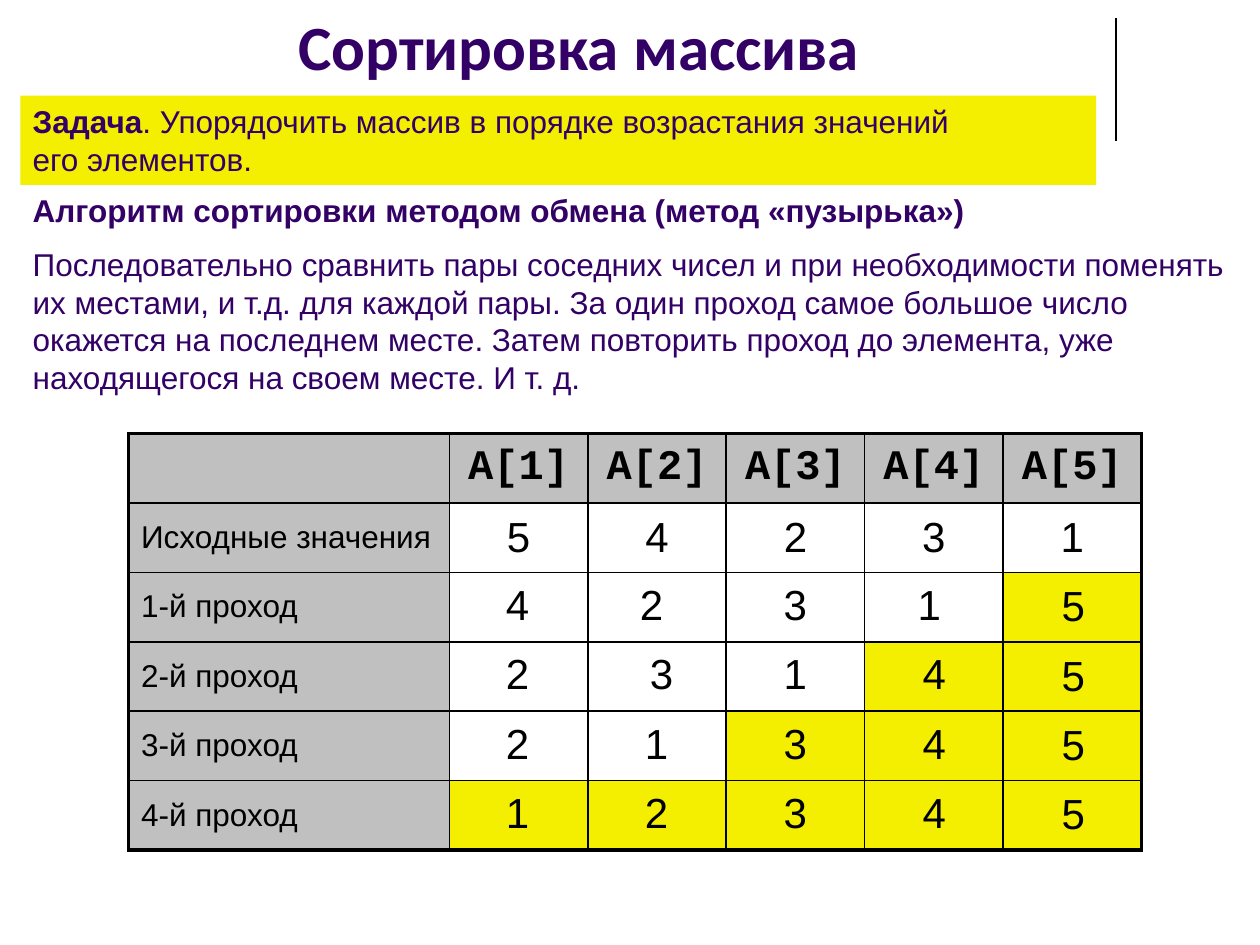
from dataclasses import dataclass

from lxml.etree import SubElement
from pptx import Presentation
from pptx.dml.color import RGBColor
from pptx.enum.shapes import MSO_CONNECTOR as Connector, MSO_SHAPE as Shape
from pptx.enum.text import MSO_ANCHOR as Anchor, MSO_AUTO_SIZE as AutoSize, PP_ALIGN as Align
from pptx.oxml.ns import qn
from pptx.util import Cm, Pt

PURPLE, YELLOW, GRAY, BLACK = "330066", "F4EE00", "C0C0C0", "000000"
THIN, THICK = 1, 2.25
COLUMNS, ROW_HEIGHT = 5, 1.4


@dataclass(frozen=True)
class Area:
    left: float
    top: float
    width: float
    height: float

    def lengths(self) -> tuple:
        return Cm(self.left), Cm(self.top), Cm(self.width), Cm(self.height)


@dataclass(frozen=True)
class Style:
    size: float = 18
    color: str = PURPLE
    bold: bool = False
    font: str = "Arial"


@dataclass(frozen=True)
class SortPass:
    label: str
    values: str
    settled: int  # values already in place, counted from the right


BODY, BODY_BOLD = Style(), Style(bold=True)
LABEL, NUMBER = Style(color=BLACK), Style(24, BLACK)
HEADING = Style(24, BLACK, True, "Courier New")

PASSES = [
    SortPass("Исходные значения", "54231", 0),
    SortPass("1-й проход", "42315", 1),
    SortPass("2-й проход", "23145", 2),
    SortPass("3-й проход", "21345", 3),
    SortPass("4-й проход", "12345", 5),
]
# Sideways shifts of single numbers, by pass and column
SHIFTS = {(1, 1): -0.1, (1, 3): -0.1, (2, 1): 0.1}


def rgb(color: str) -> RGBColor:
    return RGBColor.from_string(color)


def add_span(para, text: str, style: Style) -> None:
    span = para.add_run()
    span.text = text
    span.font.name = style.font
    span.font.size = Pt(style.size)
    span.font.bold = style.bold
    span.font.color.rgb = rgb(style.color)


def add_box(page, area: Area):
    """Add a wrapping text box and return its frame."""
    frame = page.shapes.add_textbox(*area.lengths()).text_frame
    frame.word_wrap = True
    frame.auto_size = AutoSize.SHAPE_TO_FIT_TEXT
    return frame


def set_borders(cell, widths: dict) -> None:
    properties = cell._tc.get_or_add_tcPr()
    for side in "LRTB":
        line = SubElement(properties, qn(f"a:ln{side}"), w=str(Pt(widths[side])))
        fill = SubElement(line, qn("a:solidFill"))
        SubElement(fill, qn("a:srgbClr"), val=BLACK)


def format_cell(table, row: int, column: int, fill: str = "") -> None:
    """Set borders, thick on the outside of the table, and the fill."""
    cell = table.cell(row, column)
    outer = {"L": column == 0, "R": column == COLUMNS,
             "T": row == 0, "B": row == len(PASSES)}
    set_borders(cell, {side: THICK if edge else THIN for side, edge in outer.items()})
    if fill:
        cell.fill.solid()
        cell.fill.fore_color.rgb = rgb(fill)
    else:
        cell.fill.background()


def write_cell(cell, text: str, style: Style, align: Align) -> None:
    cell.vertical_anchor = Anchor.MIDDLE
    para = cell.text_frame.paragraphs[0]
    para.alignment = align
    add_span(para, text, style)


def add_title(page) -> None:
    title = page.shapes.title
    title.left, title.top, title.width, title.height = Area(1.19, 0, 20.96, 1.8).lengths()
    title.text_frame.vertical_anchor = Anchor.BOTTOM
    para = title.text_frame.paragraphs[0]
    para.alignment = Align.CENTER
    add_span(para, "Сортировка массива", Style(36, PURPLE, True, "Calibri"))


def add_rule(page) -> None:
    rule = page.shapes.add_connector(
        Connector.STRAIGHT, Cm(22.5), Cm(0.36), Cm(22.5), Cm(2.84))
    rule.line.color.rgb = rgb(BLACK)
    rule.line.width = Pt(0.75)
    SubElement(rule._element.spPr, qn("a:effectLst"))


def add_task(page) -> None:
    box = page.shapes.add_shape(Shape.RECTANGLE, *Area(0.41, 1.93, 21.69, 1.8).lengths())
    box.shadow.inherit = False
    box.fill.solid()
    box.fill.fore_color.rgb = rgb(YELLOW)
    box.line.fill.background()
    box.text_frame.word_wrap = True
    box.text_frame.vertical_anchor = Anchor.TOP
    para = box.text_frame.paragraphs[0]
    para.alignment = Align.LEFT
    add_span(para, "Задача", BODY_BOLD)
    add_span(para, ". Упорядочить массив в порядке возрастания значений ", BODY)
    para.add_line_break()
    add_span(para, "его элементов.", BODY)


def add_algorithm(page) -> None:
    frame = add_box(page, Area(0.41, 3.73, 24.71, 4.45))
    add_span(frame.paragraphs[0],
             "Алгоритм сортировки методом обмена (метод «пузырька»)", BODY_BOLD)
    para = frame.add_paragraph()
    para.space_before = Pt(9)
    add_span(para, "Последовательно сравнить пары соседних чисел и при необходимости "
             "поменять их местами, и т.д. для каждой пары. За один проход самое большое "
             "число окажется на последнем месте. Затем повторить проход до элемента, уже "
             "находящегося на своем месте. И т. д.", BODY)


def add_pass_table(page) -> None:
    rows = len(PASSES) + 1
    area = Area(2.59, 8.74, 20.4, rows * ROW_HEIGHT)
    table = page.shapes.add_table(rows, COLUMNS + 1, *area.lengths()).table
    table.first_row = table.horz_banding = False
    for index, column in enumerate(table.columns):
        column.width = Cm(2.79 if index else 6.47)

    # Header row
    for column in range(COLUMNS + 1):
        format_cell(table, 0, column, GRAY)
        if column:
            write_cell(table.cell(0, column), f"A[{column}]", HEADING, Align.CENTER)

    # Labels, settled cells and the starting values
    for row, sort_pass in enumerate(PASSES, 1):
        format_cell(table, row, 0, GRAY)
        write_cell(table.cell(row, 0), sort_pass.label, LABEL, Align.LEFT)
        for column, value in enumerate(sort_pass.values, 1):
            settled = column > COLUMNS - sort_pass.settled
            format_cell(table, row, column, YELLOW if settled else "")
            if row == 1:
                write_cell(table.cell(row, column), value, NUMBER, Align.CENTER)


def add_pass_numbers(page) -> None:
    """Lay the values after each pass over the table as separate boxes."""
    for row, sort_pass in enumerate(PASSES[1:], 1):
        for column, value in enumerate(sort_pass.values):
            left = 9.09 + 2.8 * column + SHIFTS.get((row, column), 0)
            top = 11.53 + ROW_HEIGHT * (row - 1)
            if column == COLUMNS - 1:
                top += 0.03
            para = add_box(page, Area(left, top, 2.69, 1.27)).paragraphs[0]
            para.alignment = Align.CENTER
            add_span(para, value, NUMBER)


def main() -> None:
    deck = Presentation()
    deck.slide_width, deck.slide_height = Cm(25.4), Cm(19.05)
    page = deck.slides.add_slide(deck.slide_layouts[5])
    add_rule(page)
    add_title(page)
    add_algorithm(page)
    add_pass_table(page)
    add_pass_numbers(page)
    add_task(page)
    deck.save("out.pptx")


if __name__ == "__main__":
    main()
